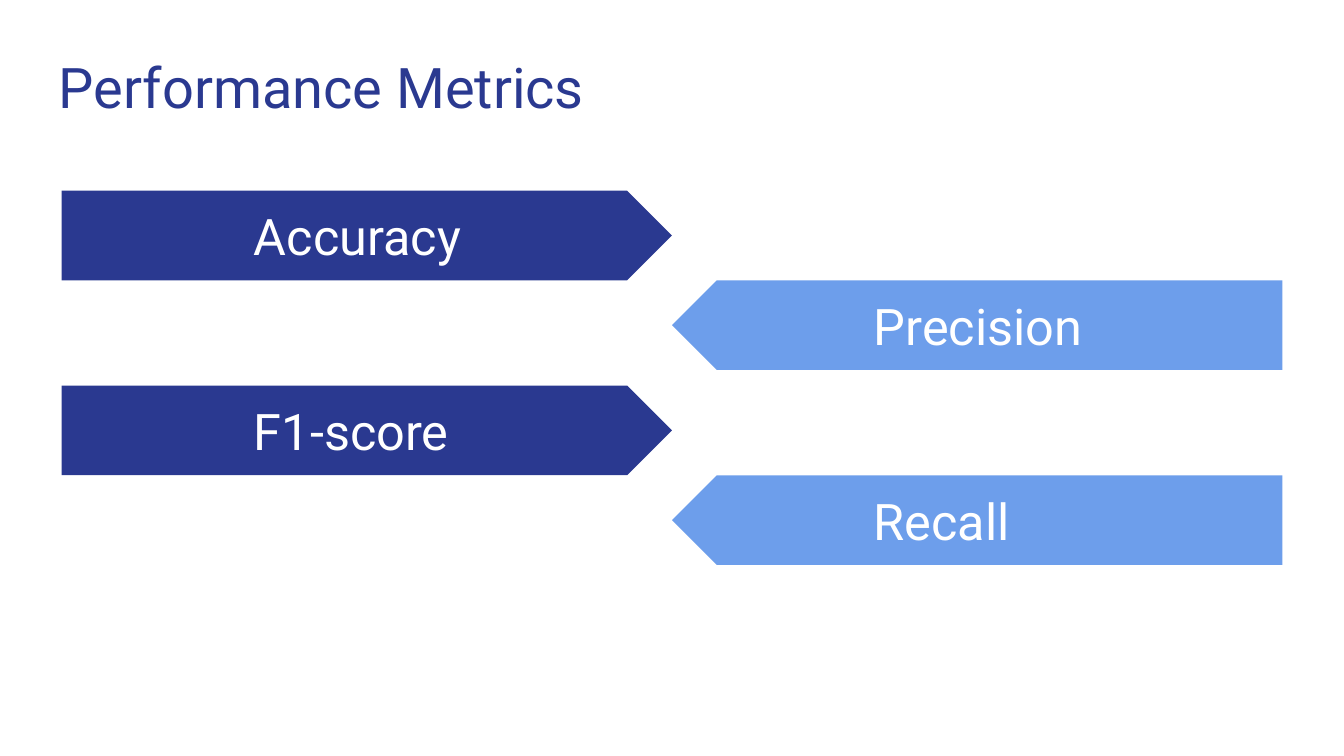
"""Build the Performance Metrics slide with four facing arrow banners."""
from pptx import Presentation
from pptx.dml.color import RGBColor
from pptx.enum.shapes import MSO_SHAPE
from pptx.enum.text import MSO_ANCHOR
from pptx.util import Pt

PENTAGON = MSO_SHAPE.PENTAGON
TOP, MIDDLE = MSO_ANCHOR.TOP, MSO_ANCHOR.MIDDLE

TITLE = "Performance Metrics"
METRIC_PAIRS = [("Accuracy", "Precision"), ("F1-score", "Recall")]

THEME = {
    "font": "Roboto",
    "title_size": 30,
    "label_size": 27,
    "title": RGBColor(0x2A, 0x39, 0x90),
    "label": RGBColor(0xFF, 0xFF, 0xFF),
    "banners": (RGBColor(0x2A, 0x39, 0x90), RGBColor(0x6D, 0x9E, 0xEB)),
}

SLIDE_WIDTH, SLIDE_HEIGHT = 720, 405
MARGIN = 33
BANNER_WIDTH = SLIDE_WIDTH / 2 - MARGIN
BANNER_HEIGHT = 48
FIRST_TOP = 102.2
PAIR_PITCH = 104.4
LABEL_INDENTS = (96, 101)
LABEL_WIDTH, LABEL_HEIGHT = 191.5, 24.5
INSET = 7.2


def add_text(slide, wording, box, size, color, anchor):
    frame = slide.shapes.add_textbox(*map(Pt, box)).text_frame
    frame.word_wrap = True
    frame.vertical_anchor = anchor
    frame.margin_left = frame.margin_right = Pt(INSET)
    frame.margin_top = frame.margin_bottom = Pt(INSET)
    run = frame.paragraphs[0].add_run()
    run.text = wording
    run.font.name = THEME["font"]
    run.font.size = Pt(size)
    run.font.color.rgb = color


def add_banner(slide, metric, row, side):
    left = MARGIN + side * BANNER_WIDTH
    top = FIRST_TOP + row * PAIR_PITCH + side * BANNER_HEIGHT
    banner = slide.shapes.add_shape(
        PENTAGON, Pt(left), Pt(top), Pt(BANNER_WIDTH), Pt(BANNER_HEIGHT))
    banner.rotation = 180 * side
    banner.shadow.inherit = False
    banner.fill.solid()
    banner.fill.fore_color.rgb = THEME["banners"][side]
    banner.line.fill.background()
    label_top = top + (BANNER_HEIGHT - LABEL_HEIGHT) / 2
    label_box = (left + LABEL_INDENTS[side], label_top, LABEL_WIDTH, LABEL_HEIGHT)
    add_text(slide, metric, label_box, THEME["label_size"], THEME["label"], MIDDLE)


def main():
    deck = Presentation()
    deck.slide_width, deck.slide_height = Pt(SLIDE_WIDTH), Pt(SLIDE_HEIGHT)
    slide = deck.slides.add_slide(deck.slide_layouts[6])
    add_text(slide, TITLE, (24.5, 21, 671, 47.5),
             THEME["title_size"], THEME["title"], TOP)
    for row, pair in enumerate(METRIC_PAIRS):
        for side, metric in enumerate(pair):
            add_banner(slide, metric, row, side)
    deck.save("out.pptx")


if __name__ == "__main__":
    main()
